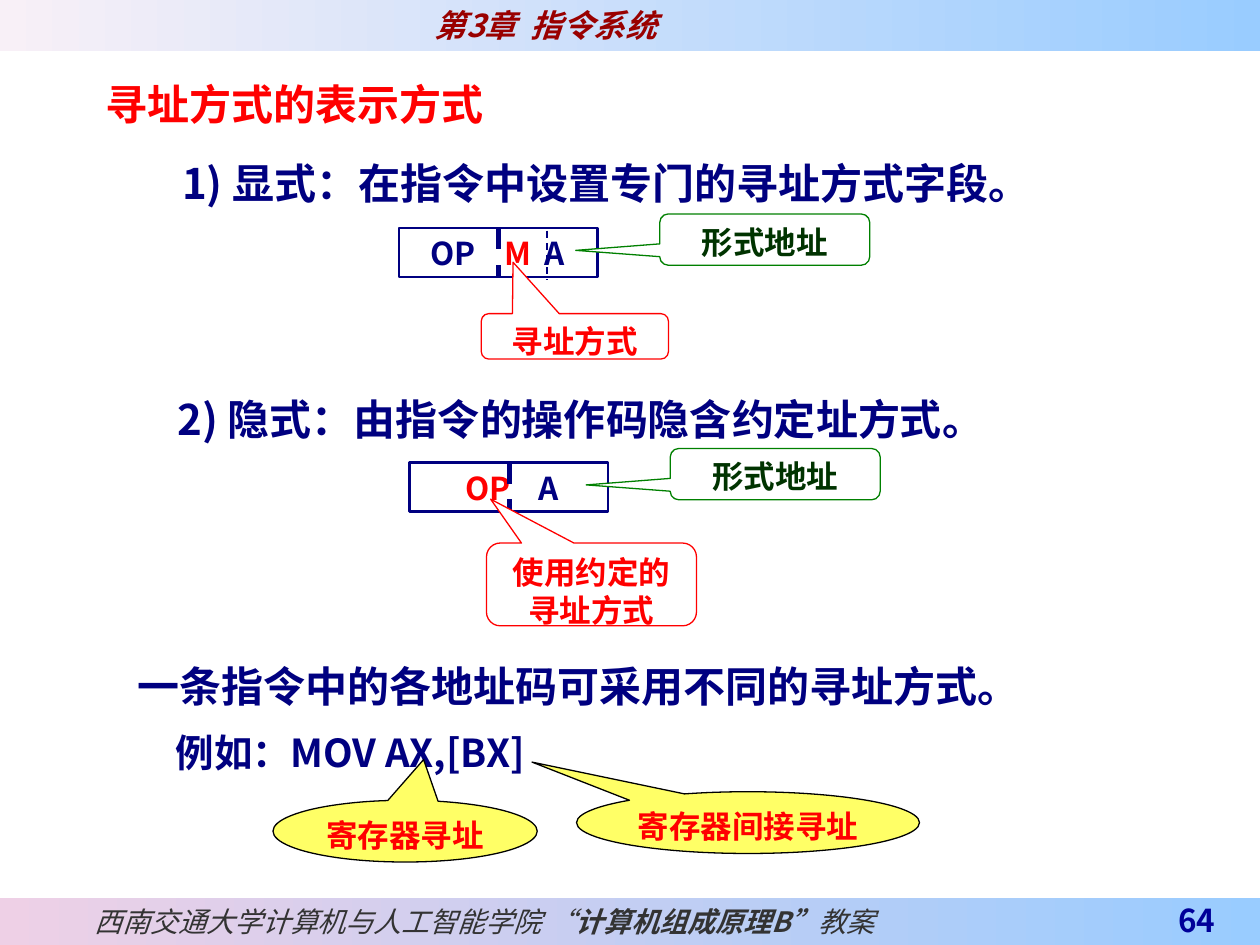
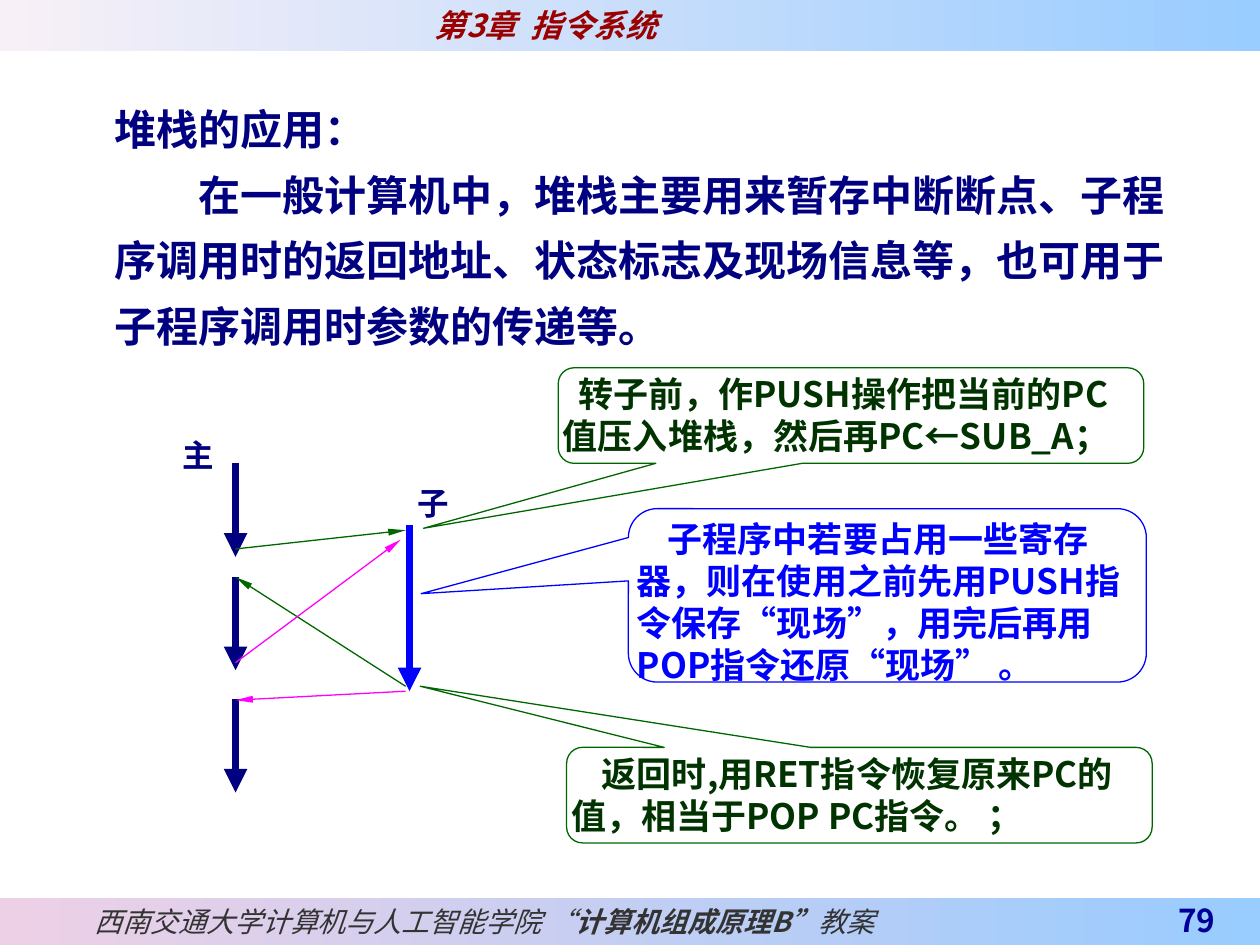
from lxml.etree import SubElement
from pptx import Presentation
from pptx.dml.color import RGBColor
from pptx.enum.dml import MSO_LINE
from pptx.enum.shapes import MSO_CONNECTOR, MSO_SHAPE
from pptx.enum.text import MSO_ANCHOR, MSO_AUTO_SIZE, PP_ALIGN
from pptx.oxml.ns import qn
from pptx.util import Pt

FONT = "Noto Sans CJK SC"
NAVY, RED, BLUE, MAGENTA = "000080", "FF0000", "0000FF", "FF00FF"
GREEN, DARK_GREEN, LINE_GREEN = "008000", "003300", "006600"
WHITE, YELLOW, BLACK = "FFFFFF", "FFFF66", "000000"
MAROON, PAGE_BLUE, GREY = "990000", "000099", "333333"
BAND_BLUE, HEADER_PINK, FOOTER_PINK = "99CCFF", "F8F0F7", "EED0E6"

CHAPTER = "第3章  指令系统"
FOOTER = [
    ("西南交通大学计算机与人工智能学院 “", {"bold": False}),
    ("计算机组成原理B”", {}),
    ("教案", {"bold": False}),
]
DEFAULT_INSETS = (7.2, 3.6, 7.2, 3.6)
NO_INSETS = (0, 0, 0, 0)

# Addressing slide: boxes are left, top, width, height
ADDRESSING_TITLE = "寻址方式的表示方式"
STATEMENTS = [
    ("1) 显式：在指令中设置专门的寻址方式字段。", (97, 86.7, 608, 36), 24),
    ("2) 隐式：由指令的操作码隐含约定址方式。", (94.5, 221.4, 625, 36), 24),
    ("一条指令中的各地址码可采用不同的寻址方式。", (71.5, 374, 569, 36), 24),
    ("例如：MOV AX,[BX]", (93.3, 413, 400, 36), 22),
]
INSTRUCTION_FORMATS = [
    {
        "origin": (228, 130.3),
        "fields": [("OP", 18, NAVY), ("M", 60.5, RED), ("A", 83, NAVY)],
        "dividers": [(84.4, 1.5, 1), (57, 0, 3)],
        "mode": ("寻址方式", (275, 179.2, 107, 26), (-0.33, -1.63)),
    },
    {
        "origin": (234, 264.3),
        "fields": [("OP", 32, RED), ("A", 74, NAVY)],
        "dividers": [(57, 0, 3)],
        "mode": ("使用约定的寻址方式", (278, 310.3, 120, 47.3), (-0.48, -1.03)),
    },
]
FORMAT_WIDTH, FORMAT_HEIGHT, FIELD_WIDTH = 113.5, 28, 36
OPERAND_NOTES = [
    ("寄存器寻址", (156, 457.3, 151, 35.3), (0.07, -1.16)),
    ("寄存器间接寻址", (329.5, 452.4, 196, 35.3), (-0.63, -0.98)),
]

# Stack slide
STACK_TITLE = "堆栈的应用："
STACK_BODY = ("在一般计算机中，堆栈主要用来暂存中断断点、子程序调用时的返回地址、"
              "状态标志及现场信息等，也可用于子程序调用时参数的传递等。")
MAIN_X, SUB_X = 134.6, 234
MAIN_SEGMENTS = [(264.8, 318.2), (329.8, 383), (399.6, 452.9)]
SUB_SEGMENT = (300.2, 395)
ROUTINE_LABELS = [("主", (97, 245.5, 59, 54)), ("子", (231.7, 273, 59, 54))]
JUMPS = [
    ((MAIN_X, 313.7), (231.8, 303), LINE_GREEN),
    ((231.8, 392.2), (MAIN_X, 329.8), LINE_GREEN),
    ((MAIN_X, 378.7), (229, 308.4), MAGENTA),
    ((231.8, 395), (MAIN_X, 400.1), MAGENTA),
]
STACK_NOTES = [
    ("转子前，作PUSH操作把当前的PC值压入堆栈，然后再PC←SUB_A；",
     (319, 210.2, 334.6, 54.6), (-0.73, 1.18), LINE_GREEN, DARK_GREEN, 8.8),
    ("返回时,用RET指令恢复原来PC的值，相当于POP PC指令。 ；",
     (323.8, 427.1, 334.6, 54.6), (-0.75, -1.14), LINE_GREEN, DARK_GREEN, 17.5),
    ("子程序中若要占用一些寄存器，则在使用之前先用PUSH指令保存“现场”，"
     "用完后再用POP指令还原“现场” 。",
     (359.1, 290.7, 296, 99.1), (-0.9, -0.01), BLUE, BLUE, 17.7),
]


def rgb(value):
    return RGBColor.from_string(value)


def lengths(values):
    return [Pt(value) for value in values]


def format_run(run, size, color, bold, italic):
    font = run.font
    font.size, font.bold, font.italic = Pt(size), bold, italic
    font.color.rgb = rgb(color)
    font.name = FONT
    SubElement(font._element, qn("a:ea"), typeface=FONT)


def write(shape, content, size=18, color=NAVY, bold=True, italic=False,
          align=PP_ALIGN.LEFT, anchor=MSO_ANCHOR.TOP, insets=DEFAULT_INSETS,
          line_spacing=1.0, indent=0):
    """Fill a shape with one paragraph: a string, or (text, run overrides) pairs."""
    frame = shape.text_frame
    frame.word_wrap = True
    frame.auto_size = MSO_AUTO_SIZE.NONE
    frame.vertical_anchor = anchor
    (frame.margin_left, frame.margin_top,
     frame.margin_right, frame.margin_bottom) = lengths(insets)
    paragraph = frame.paragraphs[0]
    properties = paragraph._p.get_or_add_pPr()
    properties.set("marL", "0")
    properties.set("indent", str(Pt(indent)))
    properties.set("hangingPunct", "0")
    SubElement(properties, qn("a:buNone"))
    paragraph.alignment = align
    paragraph.line_spacing = line_spacing
    paragraph.space_before = Pt(0)
    style = {"size": size, "color": color, "bold": bold, "italic": italic}
    pieces = [(content, {})] if isinstance(content, str) else content
    for text, overrides in pieces:
        run = paragraph.add_run()
        run.text = text
        format_run(run, **{**style, **overrides})


def add_text(slide, box, content, **style):
    write(slide.shapes.add_textbox(*lengths(box)), content, **style)


def place(placeholder, box, content, **style):
    (placeholder.left, placeholder.top,
     placeholder.width, placeholder.height) = lengths(box)
    write(placeholder, content, **style)


def add_shape(slide, kind, box, fill=None, line=None, width=0.75, adjustments=()):
    shape = slide.shapes.add_shape(kind, *lengths(box))
    shape.shadow.inherit = False
    for index, value in enumerate(adjustments):
        shape.adjustments[index] = value
    if fill:
        shape.fill.solid()
        shape.fill.fore_color.rgb = rgb(fill)
    else:
        shape.fill.background()
    if line:
        shape.line.color.rgb = rgb(line)
        shape.line.width = Pt(width)
    else:
        shape.line.fill.background()
    return shape


def add_callout(slide, box, tip, line, fill=None):
    return add_shape(slide, MSO_SHAPE.ROUNDED_RECTANGULAR_CALLOUT, box, fill, line,
                     adjustments=(*tip, 0.167))


def add_line(slide, start, end, color, width, dashed=False, arrow=None):
    """Draw a line; arrow is the (width, length) of the head at its end."""
    line = slide.shapes.add_connector(MSO_CONNECTOR.STRAIGHT, *lengths(start + end))
    line.line.color.rgb = rgb(color)
    line.line.width = Pt(width)
    if dashed:
        line.line.dash_style = MSO_LINE.DASH
    if arrow:
        SubElement(line.line._get_or_add_ln(), qn("a:tailEnd"), type="triangle",
                   w=arrow[0], len=arrow[1])
    SubElement(line._element.spPr, qn("a:effectLst"))


def add_band(slide, top, height, left_color, content, **style):
    band = add_shape(slide, MSO_SHAPE.RECTANGLE, (0, top, 720, height))
    band.fill.gradient()
    band.fill.gradient_angle = 0
    for stop, color in zip(band.fill.gradient_stops, (left_color, BAND_BLUE)):
        stop.color.rgb = rgb(color)
    write(band, content, italic=True, **style)


def add_slide(presentation, layout_index, page):
    slide = presentation.slides.add_slide(presentation.slide_layouts[layout_index])
    add_band(slide, 0, 29, HEADER_PINK, CHAPTER, color=MAROON,
             insets=(248.5, 3.6, 0, 3.6))
    add_band(slide, 513, 27, FOOTER_PINK, FOOTER, size=16, color=GREY,
             anchor=MSO_ANCHOR.MIDDLE, insets=(54.2, 0, 0, 0))
    add_text(slide, (623.5, 513, 78, 27), page, color=PAGE_BLUE,
             align=PP_ALIGN.RIGHT, anchor=MSO_ANCHOR.BOTTOM, insets=(7.2, 0, 7.2, 3.6))
    return slide


def draw_instruction_format(slide, parts):
    left, top = parts["origin"]
    add_shape(slide, MSO_SHAPE.RECTANGLE, (left, top, FORMAT_WIDTH, FORMAT_HEIGHT),
              WHITE, NAVY, 1.5)
    for text, offset, color in parts["fields"]:
        add_text(slide, (left + offset, top + 0.5, FIELD_WIDTH, FORMAT_HEIGHT), text,
                 color=color, anchor=MSO_ANCHOR.MIDDLE, insets=NO_INSETS)
    for offset, drop, width in parts["dividers"]:
        x, y = left + offset, top + drop
        add_line(slide, (x, y), (x, y + FORMAT_HEIGHT), NAVY, width, dashed=True)
    address = add_callout(slide, (left + 149, top - 8, 120, 29.3),
                          (-0.9, 0.21), GREEN, WHITE)
    write(address, "形式地址", color=DARK_GREEN, align=PP_ALIGN.CENTER)
    text, box, tip = parts["mode"]
    mode = add_callout(slide, box, tip, RED, WHITE)
    write(mode, text, color=RED, align=PP_ALIGN.CENTER)


def build_addressing_slide(presentation):
    slide = add_slide(presentation, 5, "64")
    place(slide.shapes.title, (53.3, 44.6, 269, 33), ADDRESSING_TITLE,
          size=24, color=RED, line_spacing=0.9)
    for text, box, size in STATEMENTS:
        add_text(slide, box, text, size=size)
    for parts in INSTRUCTION_FORMATS:
        draw_instruction_format(slide, parts)
    for text, box, tip in OPERAND_NOTES:
        note = add_shape(slide, MSO_SHAPE.OVAL_CALLOUT, box, YELLOW, BLACK,
                         adjustments=tip)
        write(note, text, color=RED, align=PP_ALIGN.CENTER, insets=(0, 3.6, 0, 3.6))


def build_stack_slide(presentation):
    slide = add_slide(presentation, 1, "79")
    place(slide.shapes.title, (58.3, 55.5, 625, 36), STACK_TITLE, size=24)
    place(slide.placeholders[1], (58.3, 84.4, 625, 120), STACK_BODY, size=24,
          line_spacing=1.3, indent=48)
    routines = [(MAIN_X, segment, NAVY) for segment in MAIN_SEGMENTS]
    for x, (start, end), color in routines + [(SUB_X, SUB_SEGMENT, BLUE)]:
        add_line(slide, (x, start), (x, end), color, 4.5, arrow=("med", "med"))
    for text, box in ROUTINE_LABELS:
        add_text(slide, box, text)
    for start, end, color in JUMPS:
        add_line(slide, start, end, color, 0.75, arrow=("sm", "lg"))
    for text, box, tip, line, color, indent in STACK_NOTES:
        write(add_callout(slide, box, tip, line), text, size=20, color=color,
              insets=NO_INSETS, indent=indent)


def main():
    presentation = Presentation()
    presentation.slide_width, presentation.slide_height = Pt(720), Pt(540)
    build_addressing_slide(presentation)
    build_stack_slide(presentation)
    presentation.save("out.pptx")


if __name__ == "__main__":
    main()
